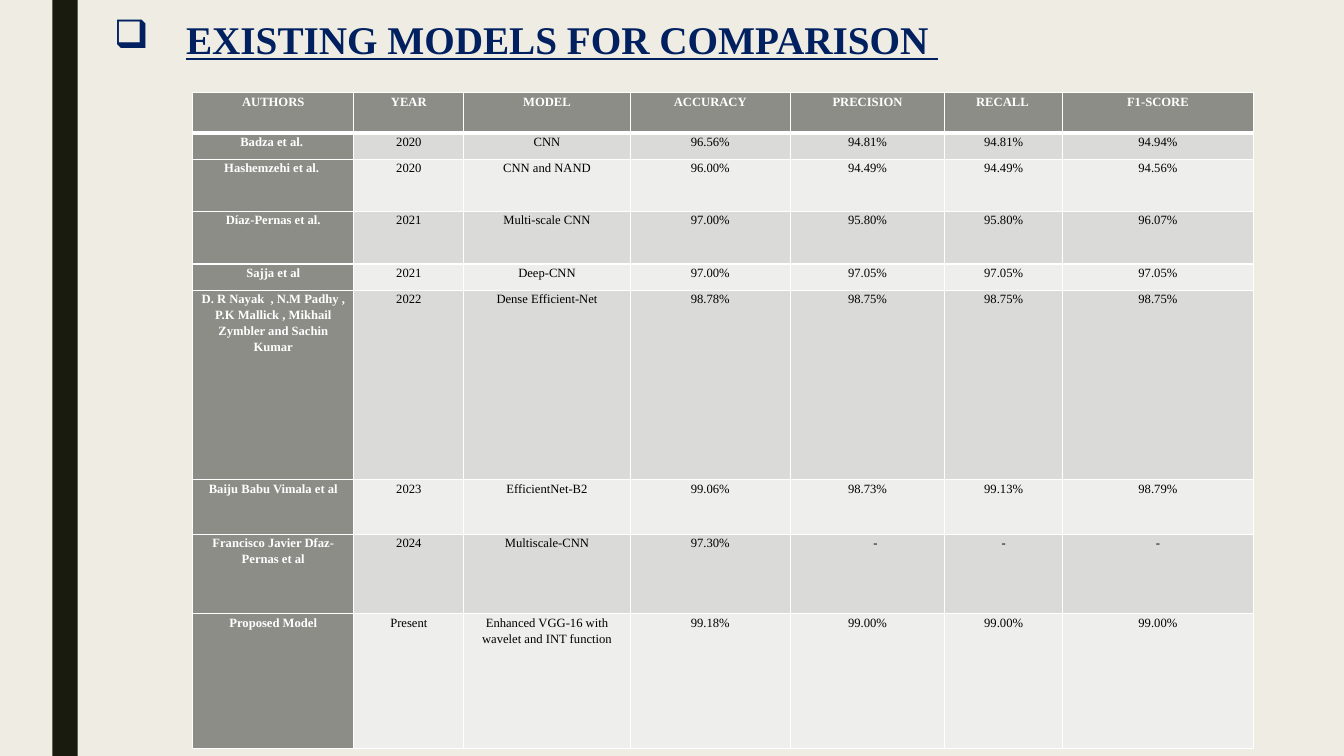
from pptx import Presentation
from pptx.dml.color import RGBColor
from pptx.enum.shapes import MSO_SHAPE
from pptx.enum.text import PP_ALIGN
from pptx.oxml import parse_xml
from pptx.oxml.ns import nsdecls
from pptx.util import Inches, Pt

COLORS = {"page": "EFEDE3", "bar": "191B0E", "title": "002060", "head": "8C8D86",
          "odd": "DADBD9", "even": "EEEEED", "white": "FFFFFF", "black": "000000"}
ROWS = [
    ("AUTHORS", "YEAR", "MODEL", "ACCURACY", "PRECISION", "RECALL ", "F1-SCORE"),
    ("Badza et al. ", "2020", "CNN", "96.56%", "94.81%", "94.81%", "94.94%"),
    ("Hashemzehi et al. ", "2020", "CNN and NAND", "96.00%", "94.49%", "94.49%", "94.56%"),
    ("Díaz-Pernas et al.", "2021", "Multi-scale CNN", "97.00%", "95.80%", "95.80%", "96.07%"),
    ("Sajja et al", "2021", "Deep-CNN", "97.00%", "97.05%", "97.05%", "97.05%"),
    ("D. R Nayak  , N.M Padhy , P.K Mallick , Mikhail Zymbler and Sachin Kumar",
     "2022", "Dense Efficient-Net", "98.78%", "98.75%", "98.75%", "98.75%"),
    ("Baiju Babu Vimala et al", "2023", "EfficientNet-B2", "99.06%", "98.73%", "99.13%", "98.79%"),
    ("Francisco Javier Dfaz-Pernas et al", "2024", "Multiscale-CNN", "97.30%", "-", "-", "-"),
    ("Proposed Model", "Present", "Enhanced VGG-16 with wavelet and INT function",
     "99.18%", "99.00%", "99.00%", "99.00%"),
]
WIDTHS = [1.6, 1.09, 1.65, 1.59, 1.53, 1.17, 1.89]
HEIGHTS = [0.4, 0.26, 0.52, 0.52, 0.26, 1.88, 0.54, 0.79, 1.34]


def rgb(name):
    return RGBColor.from_string(COLORS[name])


def write(par, text, size=9, color="black", bold=False, line=False):
    run = par.add_run()
    run.text = text
    font = run.font
    font.name, font.size, font.bold, font.underline = "Times New Roman", Pt(size), bold, line
    font.color.rgb = rgb(color)


deck = Presentation()
deck.slide_width, deck.slide_height = Inches(13.33), Inches(7.5)
slide = deck.slides.add_slide(deck.slide_layouts[6])
slide.background.fill.solid()
slide.background.fill.fore_color.rgb = rgb("page")

# Side bar
bar = slide.shapes.add_shape(MSO_SHAPE.RECTANGLE, Inches(0.52), 0, Inches(0.25), deck.slide_height)
bar.shadow.inherit = False
bar.fill.solid()
bar.fill.fore_color.rgb = rgb("bar")
bar.line.fill.background()

# Title with its box bullet
box = slide.shapes.add_textbox(Inches(1.03), Inches(0.16), Inches(12.48), Inches(0.76))
frame = box.text_frame
frame.word_wrap = True
par = frame.paragraphs[0]
par.line_spacing = 0.89
props = par._p.get_or_add_pPr()
props.set("marL", str(Inches(0.62)))
props.set("indent", str(-Inches(0.62)))
props.append(parse_xml(f'<a:buChar {nsdecls("a")} char="❑"/>'))
write(par, " ", size=28, color="title", bold=True)
write(par, "EXISTING MODELS FOR COMPARISON ", size=28, color="title", bold=True, line=True)

# Table of models
table = slide.shapes.add_table(len(ROWS), len(WIDTHS), Inches(1.91), Inches(0.92),
                               Inches(sum(WIDTHS)), Inches(sum(HEIGHTS))).table
table.first_row = table.horz_banding = False
for col, width in zip(table.columns, WIDTHS):
    col.width = Inches(width)
for row, height in zip(table.rows, HEIGHTS):
    row.height = Inches(height)

for r, row in enumerate(ROWS):
    for c, text in enumerate(row):
        cell = table.cell(r, c)
        head = r == 0 or c == 0
        cell.margin_left = cell.margin_right = Inches(0.05)
        cell.margin_top = cell.margin_bottom = 0
        if text == "-" and c == 4:
            cell.margin_left = Inches(0.21)

        # White borders, heavier under the header row
        edges = {"L": 1, "R": 1, "T": 3 if r == 1 else 1, "B": 3 if r == 0 else 1}
        for side, weight in edges.items():
            cell._tc.get_or_add_tcPr().append(parse_xml(
                f'<a:ln{side} {nsdecls("a")} w="{Pt(weight)}"><a:solidFill>'
                f'<a:srgbClr val="{COLORS["white"]}"/></a:solidFill></a:ln{side}>'))
        cell.fill.solid()
        cell.fill.fore_color.rgb = rgb("head" if head else "odd" if r % 2 else "even")

        par = cell.text_frame.paragraphs[0]
        par.alignment = PP_ALIGN.CENTER
        par.line_spacing = 1.15
        par.space_after = Pt(8)
        write(par, text, color="white" if head else "black", bold=head)

deck.save("out.pptx")
